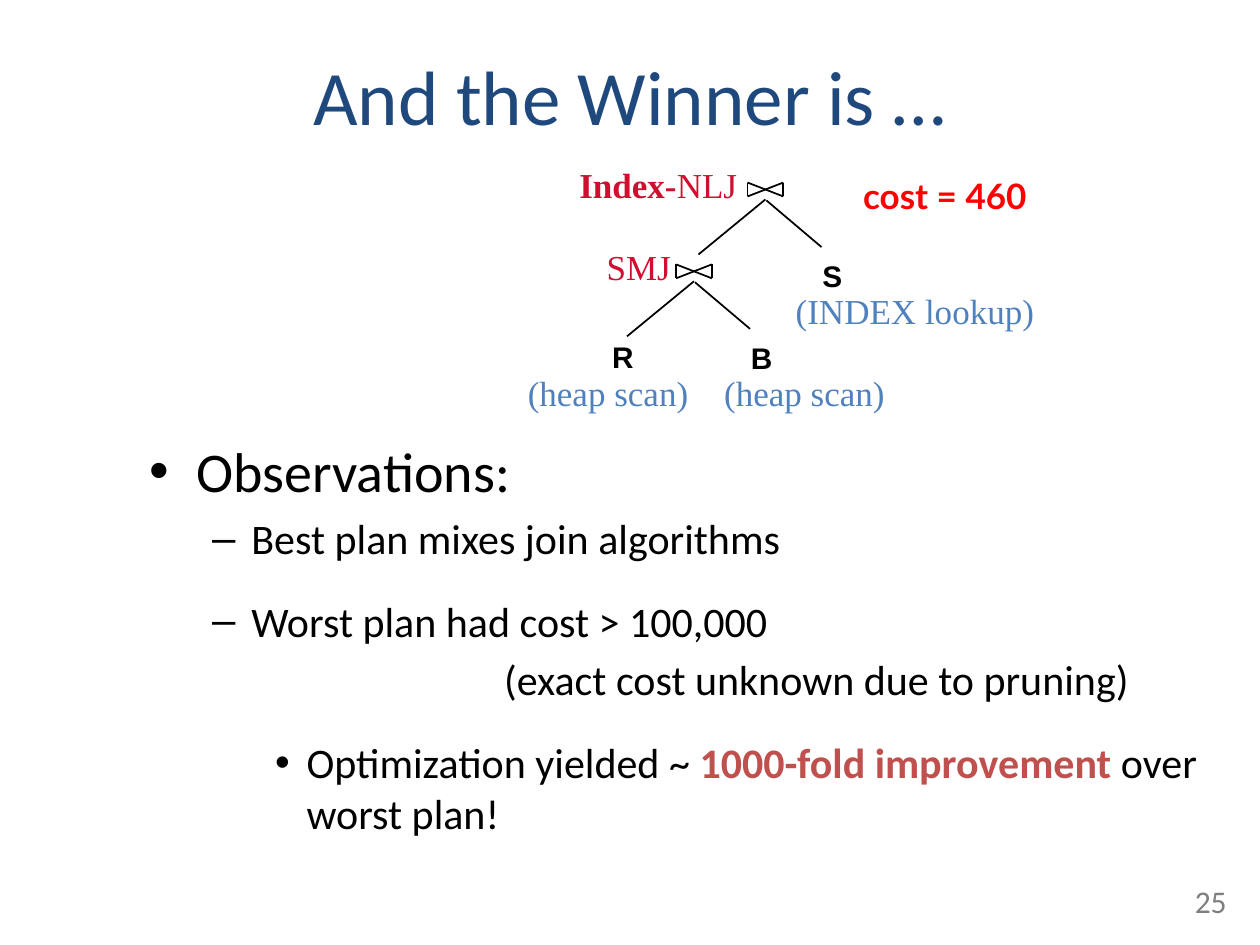
from lxml import etree
from pptx import Presentation
from pptx.dml.color import RGBColor
from pptx.enum.shapes import MSO_CONNECTOR
from pptx.enum.text import MSO_ANCHOR, MSO_AUTO_SIZE, PP_ALIGN
from pptx.oxml.ns import qn
from pptx.util import Cm, Pt

LINE = MSO_CONNECTOR.STRAIGHT
BOTTOM, TOP = MSO_ANCHOR.BOTTOM, MSO_ANCHOR.TOP
FIXED = MSO_AUTO_SIZE.NONE
LEFT, MID, RIGHT = PP_ALIGN.LEFT, PP_ALIGN.CENTER, PP_ALIGN.RIGHT

COLORS = {"black": "000000", "navy": "1F497D", "blue": "4F81BD", "wine": "CF0E30",
          "red": "FF0000", "brick": "C0504D", "gray": "7F7F7F"}

# name: font, size, colour, bold
STYLES = {
    "title": ("Calibri", 44, "navy", False),
    "head": ("Calibri", 32, "black", False),
    "item": ("Calibri", 24, "black", False),
    "key": ("Calibri", 24, "brick", True),
    "table": ("Arial", 17, "black", True),
    "join": ("Times New Roman", 20, "wine", False),
    "joinb": ("Times New Roman", 20, "wine", True),
    "scan": ("Times New Roman", 20, "blue", False),
    "cost": ("Lato", 20, "red", True),
    "page": ("Calibri", 18, "gray", False),
}


class Deck:
    def __init__(self):
        self.prs = Presentation()
        self.prs.slide_width, self.prs.slide_height = Cm(25.4), Cm(19.05)
        self.slide = self.prs.slides.add_slide(self.prs.slide_layouts[1])
        self.shapes = self.slide.shapes

    def put(self, para, runs):
        for text, style in runs:
            run = para.add_run()
            run.text = text
            name, size, color, bold = STYLES[style]
            look = {"name": name, "size": Pt(size), "bold": bold}
            for key, value in look.items():
                setattr(run.font, key, value)
            run.font.color.rgb = RGBColor.from_string(COLORS[color])

    def frame(self, shape, anchor):
        look = {"word_wrap": True, "auto_size": FIXED, "vertical_anchor": anchor}
        for key, value in look.items():
            setattr(shape.text_frame, key, value)
        return shape.text_frame

    def place(self, shape, box):
        for key, value in zip(("left", "top", "width", "height"), box):
            setattr(shape, key, Cm(value))

    def title(self, box, text):
        shape = self.shapes.title
        self.place(shape, box)
        para = self.frame(shape, BOTTOM).paragraphs[0]
        para.alignment = MID
        self.put(para, [(text, "title")])

    def body(self, box, rows):
        shape = self.slide.placeholders[1]
        self.place(shape, box)
        frame = self.frame(shape, TOP)
        for i, (level, gap, inset, runs) in enumerate(rows):
            para = frame.add_paragraph() if i else frame.paragraphs[0]
            para.level, para.space_before = level, Pt(gap)
            if inset:
                props = para._p.get_or_add_pPr()
                props.set("marL", str(Cm(inset)))
                props.set("indent", "0")
                etree.SubElement(props, qn("a:buNone"))
            self.put(para, runs)

    def label(self, box, runs, align=LEFT, anchor=TOP):
        shape = self.shapes.add_textbox(*map(Cm, box))
        para = self.frame(shape, anchor).paragraphs[0]
        para.alignment = align
        self.put(para, runs)

    def line(self, x1, y1, x2, y2):
        line = self.shapes.add_connector(LINE, Cm(x1), Cm(y1), Cm(x2), Cm(y2))
        line.line.width = Pt(1)
        line.line.color.rgb = RGBColor.from_string(COLORS["black"])
        etree.SubElement(line._element.spPr, qn("a:effectLst"))

    def join(self, x, y):
        """Bowtie with its top left at x, y and two branches below."""
        wide, high = 0.72, 0.28
        for x1, y1, x2, y2 in ((0, 0, 0, high), (wide, 0, wide, high),
                               (0, 0, wide, high), (0, high, wide, 0),
                               (0.36, 0.34, -0.99, 1.45), (0.38, 0.36, 1.49, 1.3)):
            self.line(x + x1, y + y1, x + x2, y + y2)


deck = Deck()
deck.title((1.27, 0.76, 22.86, 2.21), "And the Winner is …")

# Observations: level, space before, left inset, runs
deck.body((2.75, 8.68, 22.65, 9.96), [
    (0, 0, 0, [("Observations:", "head")]),
    (1, 4.8, 0, [("Best plan mixes join algorithms", "item")]),
    (1, 18.4, 0, [("Worst plan had cost > 100,000", "item")]),
    (1, 4.8, 7.16, [("(exact cost unknown due to pruning)", "item")]),
    (2, 18.6, 0, [("Optimization yielded ~ ", "item"), ("1000-fold improvement ", "key"),
                  ("over worst plan!", "item")]),
])

# Plan tree
for x, y in ((15.07, 3.68), (13.63, 5.33)):
    deck.join(x, y)

# Tables
for x, y, name in ((12.09, 6.71, "R"), (14.89, 6.73, "B"), (16.33, 5.08, "S")):
    deck.label((x, y, 1.05, 0.97), [(name, "table")])

# Join and access methods
for x, y, width, runs in (
        (11.43, 3.18, 3.95, [("Index-", "joinb"), ("NLJ", "join")]),
        (11.98, 4.83, 2, [("SMJ", "join")]),
        (10.39, 7.37, 3.95, [("(heap scan)", "scan")]),
        (14.35, 7.37, 3.95, [("(heap scan)", "scan")]),
        (15.79, 5.72, 5.6, [("(INDEX lookup)", "scan")])):
    deck.label((x, y, width, 1.09), runs)

# Cost and page number
deck.label((17.15, 3.4, 4.65, 1.47), [("cost = 460", "cost")])
deck.label((18.2, 17.35, 6.78, 1.32), [("25", "page")], RIGHT, BOTTOM)

deck.prs.save("out.pptx")
